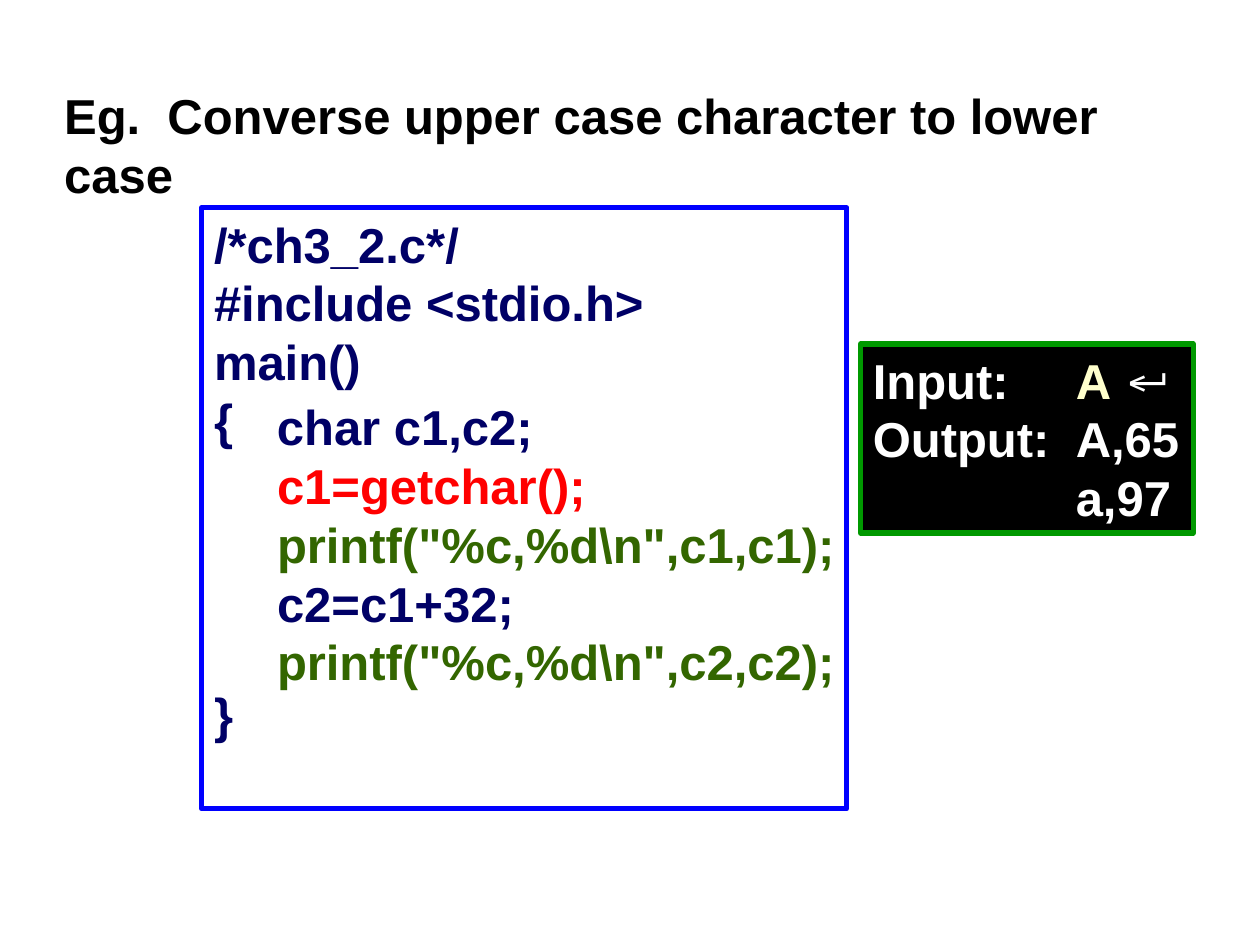
from lxml import etree
from pptx import Presentation
from pptx.dml.color import RGBColor
from pptx.enum.shapes import MSO_SHAPE
from pptx.enum.text import MSO_ANCHOR, MSO_AUTO_SIZE, PP_ALIGN
from pptx.oxml.ns import qn
from pptx.util import Inches, Pt

RECT = MSO_SHAPE.RECTANGLE
TOP, NO_FIT, LEFT = MSO_ANCHOR.TOP, MSO_AUTO_SIZE.NONE, PP_ALIGN.LEFT
TITLE_ONLY = 5
LINE = 33.6  # height of a text line in points
COLORS = {
    "title": "000000", "code": "000066", "call": "FF0000", "print": "336600",
    "paper": "FFFFFF", "frame": "0000FF",
    "screen": "000000", "rim": "009900", "output": "FFFFFF", "typed": "FFFFCC",
}


def write(box, *lines, color, wrap=False, tab=None, last_gap=0):
    """Fill a box; a line is a string or a list of (text, colour) runs."""
    frame = box.text_frame
    frame.word_wrap, frame.auto_size, frame.vertical_anchor = wrap, NO_FIT, TOP
    frame.margin_left = frame.margin_right = Inches(0.1)
    frame.margin_top = frame.margin_bottom = Inches(0.05)
    for number, line in enumerate(lines):
        paragraph = frame.add_paragraph() if number else frame.paragraphs[0]
        if tab:
            stops = etree.SubElement(paragraph._p.get_or_add_pPr(), qn("a:tabLst"))
            etree.SubElement(stops, qn("a:tab"), pos=str(Inches(tab)), algn="l")
        paragraph.alignment = LEFT
        paragraph.line_spacing = Pt(LINE)
        paragraph.space_before = Pt(last_gap if number and number == len(lines) - 1 else 0)
        for text, shade in [(line, color)] if isinstance(line, str) else line:
            run = paragraph.add_run()
            run.text = text
            run.font.name, run.font.size, run.font.bold = "Arial", Pt(28), True
            run.font.color.rgb = RGBColor.from_string(COLORS[shade])


def add_panel(left, top, width, height, fill, line):
    panel = slide.shapes.add_shape(RECT, *map(Inches, (left, top, width, height)))
    panel.shadow.inherit = False
    panel.fill.solid()
    panel.fill.fore_color.rgb = RGBColor.from_string(COLORS[fill])
    panel.line.color.rgb = RGBColor.from_string(COLORS[line])
    panel.line.width = Pt(3)
    return panel


prs = Presentation()
prs.slide_width, prs.slide_height = Inches(10), Inches(7.5)
slide = prs.slides.add_slide(prs.slide_layouts[TITLE_ONLY])

# Title
title = slide.shapes.title
title.left, title.top, title.width, title.height = map(Inches, (0.41, 0.63, 9.37, 0.57))
write(title, "Eg.  Converse upper case character to lower case", color="title")

# Program frame, with room for four more lines between the braces
program = add_panel(1.6, 1.65, 5.12, 4.77, "paper", "frame")
write(program, "/*ch3_2.c*/", "#include <stdio.h>", "main()", "{", "}",
      color="code", wrap=True, last_gap=4 * LINE)

# Sample run
sample = add_panel(6.83, 2.73, 2.64, 1.5, "screen", "rim")
write(sample, [("Input:\t", "output"), ("A ", "typed"), ("↵", "output")],
      "Output:\tA,65", "\ta,97", color="output", tab=1.61)

# Statements inside the braces, one box per line
statements = [
    ("char c1,c2;", 2.23, "code"),
    ("c1=getchar();", 2.65, "call"),
    ('printf("%c,%d\\n",c1,c1);', 4.62, "print"),
    ("c2=c1+32;", 2.08, "code"),
    ('printf("%c,%d\\n",c2,c2);', 4.62, "print"),
]
for row, (statement, width, color) in enumerate(statements):
    box = slide.shapes.add_textbox(
        Inches(2.1), Inches(3.1) + row * Pt(LINE), Inches(width), Inches(0.57))
    write(box, statement, color=color)

prs.save("out.pptx")
